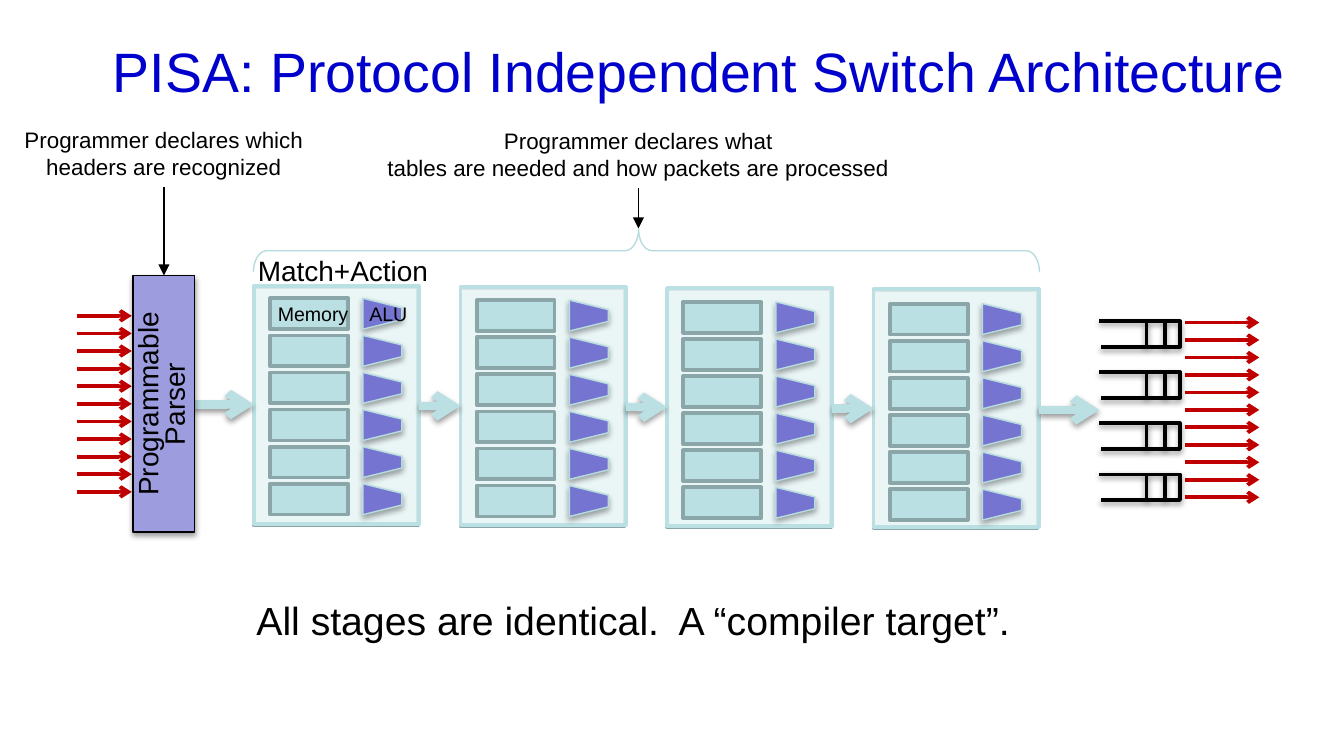
from dataclasses import dataclass

from lxml.etree import SubElement
from pptx import Presentation
from pptx.dml.color import RGBColor
from pptx.enum.shapes import MSO_CONNECTOR as Connector, MSO_SHAPE as Shape
from pptx.enum.text import MSO_ANCHOR as Anchor, MSO_AUTO_SIZE as AutoSize, PP_ALIGN as Align
from pptx.oxml.ns import qn
from pptx.util import Inches, Pt


@dataclass(frozen=True)
class Theme:
    font: str = "Arial"
    title: str = "0000CC"
    ink: str = "000000"
    white: str = "FFFFFF"
    teal: str = "BBE0E3"
    teal_edge: str = "B6DCDF"
    teal_dark: str = "8AA6A8"
    violet: str = "7575D1"
    parser: str = "9C9CDF"
    packet: str = "C00000"
    title_size: float = 29.7
    takeaway_size: float = 21
    label_size: float = 15
    note_size: float = 12
    cell_size: float = 10.5
    thin: float = 0.75
    medium: float = 2
    thick: float = 4.5


THEME = Theme()


def colour(value):
    return RGBColor.from_string(value)


def set_effects(shape, shadow):
    """Replace the theme's effects: shadow is an opacity in percent, 0 for none."""
    effects = SubElement(shape._element.spPr, qn("a:effectLst"))
    if shadow:
        outer = SubElement(effects, qn("a:outerShdw"), blurRad=str(Pt(3.1)), dist=str(Pt(1.7)),
                           dir="5400000", rotWithShape="0")
        black = SubElement(outer, qn("a:srgbClr"), val=THEME.ink)
        SubElement(black, qn("a:alpha"), val=str(shadow * 1000))


def finish(shape, fill, line, width, shadow=0, opacity=100):
    if fill:
        shape.fill.solid()
        shape.fill.fore_color.rgb = colour(fill)
        if opacity < 100:
            tint = shape._element.spPr.find(qn("a:solidFill"))[0]
            SubElement(tint, qn("a:alpha"), val=str(opacity * 1000))
    else:
        shape.fill.background()
    shape.line.color.rgb = colour(line)
    shape.line.width = Pt(width)
    set_effects(shape, shadow)


def add_preset(slide, kind, box, fill, line, width, shadow=0, opacity=100, rotation=0, adjust=()):
    shape = slide.shapes.add_shape(kind, *map(Inches, box))
    shape.rotation = rotation
    for index, value in enumerate(adjust):
        shape.adjustments[index] = value
    finish(shape, fill, line, width, shadow, opacity)
    return shape


def add_line(slide, start, end, line, width, head=None, shadow=0):
    connector = slide.shapes.add_connector(Connector.STRAIGHT, *map(Inches, (*start, *end)))
    connector.line.color.rgb = colour(line)
    connector.line.width = Pt(width)
    if head:
        SubElement(connector._element.spPr.find(qn("a:ln")), qn("a:tailEnd"), type=head)
    set_effects(connector, shadow)


def write(shape, text, size, align=Align.LEFT, text_colour=THEME.ink):
    shape.text_frame.text = text
    for paragraph in shape.text_frame.paragraphs:
        paragraph.alignment = align
        for run in paragraph.runs:
            run.font.name = THEME.font
            run.font.size = Pt(size)
            run.font.color.rgb = colour(text_colour)


def add_label(slide, box, text, size, align=Align.LEFT, wrap=False):
    label = slide.shapes.add_textbox(*map(Inches, box))
    write(label, text, size, align)
    label.text_frame.word_wrap = wrap
    label.text_frame.auto_size = AutoSize.SHAPE_TO_FIT_TEXT


def place_title(slide, box, text):
    title = slide.shapes.title
    title.left, title.top, title.width, title.height = map(Inches, box)
    write(title, text, THEME.title_size, Align.CENTER, THEME.title)
    title.text_frame.word_wrap = True
    title.text_frame.auto_size = AutoSize.NONE
    title.text_frame.vertical_anchor = Anchor.MIDDLE


def add_stage(slide, box, cell_top):
    """A match+action stage: a column of memories, each with its ALU."""
    left, top, width, height = box
    add_preset(slide, Shape.RECTANGLE, (left, top + 0.01, width - 0.01, height),
               THEME.teal, THEME.teal_dark, THEME.medium)
    add_preset(slide, Shape.RECTANGLE, box, THEME.white, THEME.teal, THEME.medium, opacity=70)
    for row in range(6):
        y = cell_top + row * 1.38 / 5
        add_preset(slide, Shape.RECTANGLE, (left + 0.12, y, 0.58, 0.23),
                   THEME.teal, THEME.teal_dark, THEME.medium)
        add_preset(slide, Shape.TRAPEZOID, (left + 0.84, y - 0.03, 0.23, 0.29),
                   THEME.violet, THEME.teal_edge, THEME.thin, 35, rotation=90, adjust=(0.31,))


def add_packets(slide, box):
    """Eleven evenly spaced packet arrows filling the box."""
    left, top, width, height = box
    for index in range(11):
        y = top + index * height / 10
        add_line(slide, (left, y), (left + width, y), THEME.packet, THEME.medium, "arrow")


def add_queue(slide, box):
    """An output queue, open on the left, with two waiting packets."""
    left, top, width, height = box
    right, bottom = left + width, top + height
    corners = [(right, top), (right, bottom), (left + 0.01, bottom)]
    builder = slide.shapes.build_freeform(Inches(left), Inches(top))
    builder.add_line_segments([(Inches(x), Inches(y)) for x, y in corners], close=False)
    finish(builder.convert_to_shape(), None, THEME.ink, THEME.medium, 38)
    for offset in (0.35, 0.49):
        x = left + offset
        add_line(slide, (x, top), (x, bottom), THEME.ink, THEME.medium, shadow=38)


def add_parser(slide, box):
    """The parser block; the box is the upright one, its text reads upwards."""
    left, top, width, height = box
    turned = (left + (width - height) / 2, top + (height - width) / 2, height, width)
    parser = add_preset(slide, Shape.RECTANGLE, turned, THEME.parser, THEME.ink, THEME.thin,
                        38, rotation=270)
    write(parser, "Programmable\nParser", THEME.label_size, Align.CENTER)
    frame = parser.text_frame
    frame.word_wrap = True
    frame.vertical_anchor = Anchor.MIDDLE
    frame.margin_left = frame.margin_right = Inches(0.13)
    frame.margin_top = frame.margin_bottom = Inches(0.06)
    for paragraph in frame.paragraphs:
        paragraph.line_spacing = Pt(14.2)


def add_note(slide, box, text, target):
    """A centred remark with an arrow down to the height of its target."""
    left, top, width, height = box
    add_label(slide, box, text, THEME.note_size, Align.CENTER)
    centre = left + width / 2
    add_line(slide, (centre, top + height), (centre, target), THEME.ink, THEME.thin, "triangle")


def add_pipeline(slide, box, count=4):
    """The stages, the arrows through them, and the labels of the first stage."""
    left, top, width, height = box
    stage_width = 1.23
    pitch = (width - stage_width) / (count - 1)
    lefts = [left + index * pitch for index in range(count)]
    for index, x in enumerate(lefts):
        stage = (x, top + index * 0.02 / 3, stage_width, height)
        add_stage(slide, stage, top + 0.09 + index * 0.04 / 3)
    starts = [left - 0.45] + [x + stage_width for x in lefts]
    ends = lefts + [left + width + 0.45]
    for index, (start, end) in enumerate(zip(starts, ends)):
        y = top + 0.88 + index * 0.01
        add_line(slide, (start, y), (end, y), THEME.teal, THEME.thick, "arrow", 38)
    add_label(slide, (left - 0.07, top - 0.29, 2.2, 0.34), "Match+Action", THEME.label_size,
              wrap=True)
    add_label(slide, (left + 0.08, top + 0.07, 0.73, 0.28), "Memory", THEME.cell_size)
    add_label(slide, (left + 0.76, top + 0.07, 0.49, 0.28), "ALU", THEME.cell_size)


def main():
    presentation = Presentation()
    presentation.slide_width = Inches(10)
    presentation.slide_height = Inches(10) * 9 // 16
    slide = presentation.slides.add_slide(presentation.slide_layouts[5])
    place_title(slide, (0.69, -0.02, 9.03, 1.09), "PISA: Protocol Independent Switch Architecture")
    add_packets(slide, (0.57, 2.35, 0.41, 1.31))
    add_packets(slide, (8.82, 2.4, 0.55, 1.3))
    for index in range(4):
        add_queue(slide, (8.18, 2.39 + index * 0.38, 0.6, 0.19))
    add_pipeline(slide, (1.89, 2.13, 5.84, 1.77))
    add_parser(slide, (0.99, 2.05, 0.46, 1.91))
    add_preset(slide, Shape.RIGHT_BRACE, (4.65, -1.06, 0.32, 5.85), None, THEME.teal_edge,
               THEME.thin, rotation=270, adjust=(0.31, 0.49))
    add_note(slide, (0.05, 0.89, 2.34, 0.5),
             "Programmer declares which\nheaders are recognized", 2.05)
    add_note(slide, (2.77, 0.9, 3.96, 0.5),
             "Programmer declares what\ntables are needed and how packets are processed", 1.7)
    add_label(slide, (1.81, 4.39, 5.86, 0.45), "All stages are identical.  A “compiler target”.",
              THEME.takeaway_size)
    presentation.save("out.pptx")


if __name__ == "__main__":
    main()
